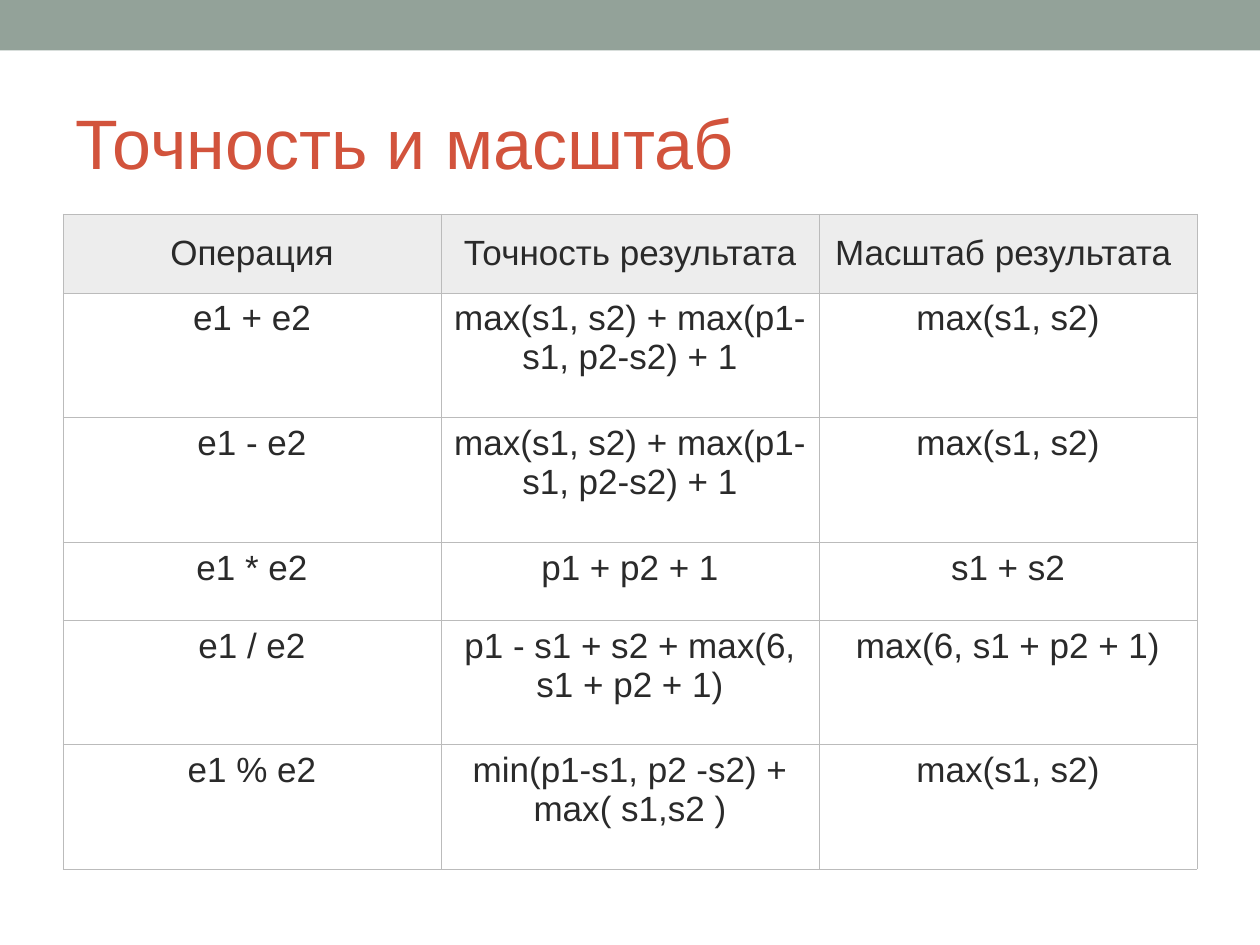
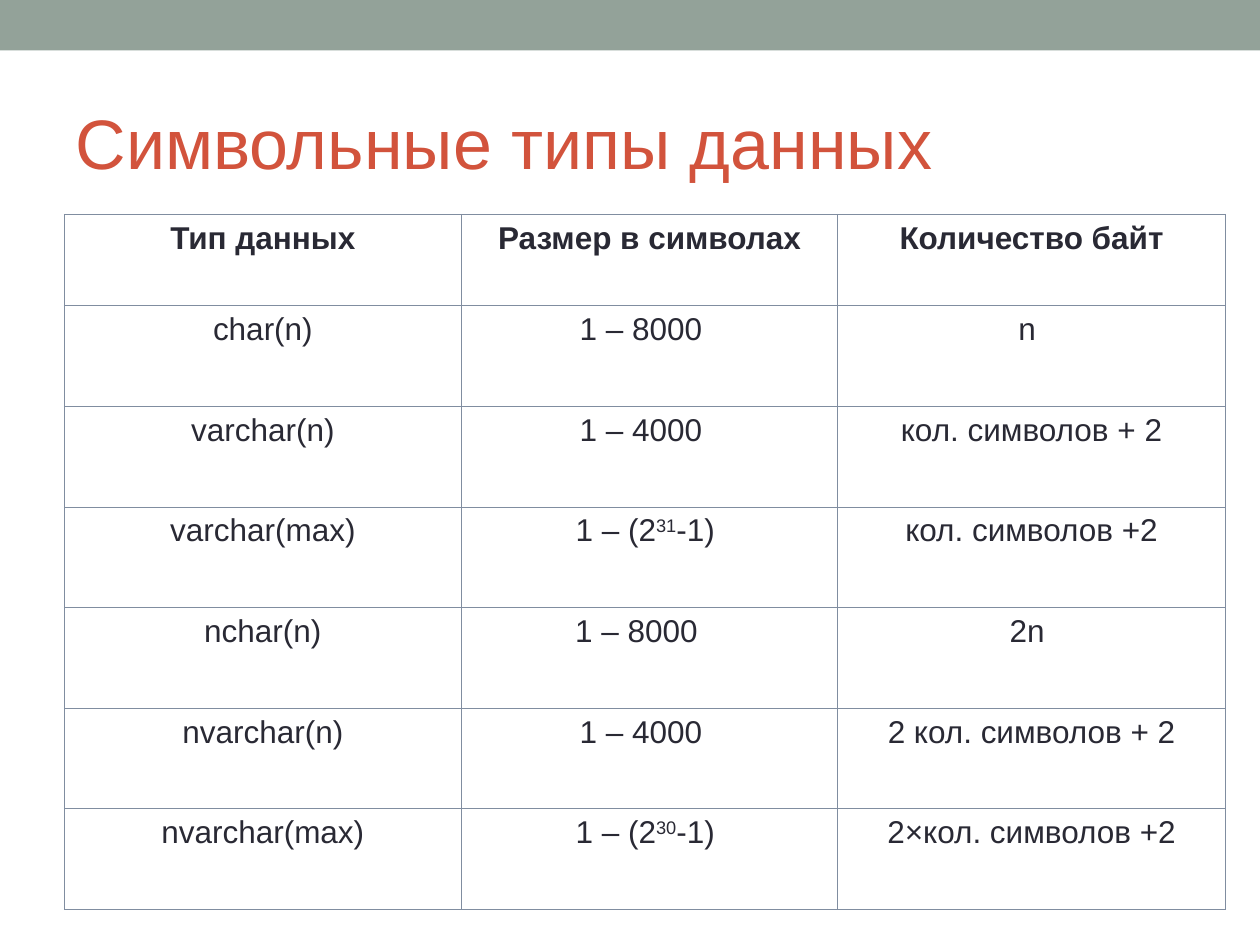
import pptx
import pptx.dml.color
import pptx.enum.shapes
import pptx.enum.text
import pptx.oxml
import pptx.oxml.ns
import pptx.util

Pt = pptx.util.Pt
FONT = "Arial"
COLORS = {
    "band": "93A299",
    "title": "D2533C",
    "precision_text": "2A2A2A",
    "precision_border": "BBBBBB",
    "precision_header": "EDEDED",
    "types_text": "292934",
    "types_border": "808DA0",
}

PRECISION_ROWS = [
    ["Операция", "Точность результата", "Масштаб результата "],
    ["e1 + e2", "max(s1, s2) + max(p1-s1, p2-s2) + 1", "max(s1, s2)"],
    ["e1 - e2", "max(s1, s2) + max(p1-s1, p2-s2) + 1", "max(s1, s2)"],
    ["e1 * e2", "p1 + p2 + 1", "s1 + s2"],
    ["e1 / e2", "p1 - s1 + s2 + max(6, s1 + p2 + 1)", "max(6, s1 + p2 + 1)"],
    ["e1 % e2", "min(p1-s1, p2 -s2) + max( s1,s2 )", "max(s1, s2)"],
]

TYPE_ROWS = [
    ["Тип данных", "Размер в символах", "Количество байт"],
    ["char(n)", "1 – 8000", "n "],
    ["varchar(n)", "1 – 4000", "кол. символов + 2"],
    ["varchar(max)", "1 – (2^31^-1) ", "кол. символов +2"],
    ["nchar(n)", "1 – 8000", "2n "],
    ["nvarchar(n)", "1 – 4000", "2 кол. символов + 2"],
    ["nvarchar(max)", "1 – (2^30^-1) ", "2×кол. символов +2"],
]
TYPE_EXTRA_INSETS = {(1, 1): 10, (2, 1): 10, (4, 1): 15, (5, 1): 10}


def color(name):
    return pptx.dml.color.RGBColor.from_string(COLORS[name])


def add_span(para, text, size, color_name, bold=False, raised=False):
    span = para.add_run()
    span.text = text
    span.font.name = FONT
    span.font.size = Pt(size)
    span.font.bold = bold
    span.font.color.rgb = color(color_name)
    if raised:
        span._r.get_or_add_rPr().set("baseline", "30000")


def add_master_band(deck, page):
    band = page.shapes.add_shape(
        pptx.enum.shapes.MSO_SHAPE.RECTANGLE, 0, 0, deck.slide_width, Pt(28.8))
    band.shadow.inherit = False
    band.fill.solid()
    band.fill.fore_color.rgb = color("band")
    band.line.fill.background()
    band.element.nvSpPr.cNvPr.set("id", "50")
    deck.slide_master.element.cSld.spTree.insert(2, band.element)


def add_page(deck, title):
    page = deck.slides.add_slide(deck.slide_layouts.get_by_name("Title Only"))
    box = page.shapes.title
    box.left, box.top, box.width, box.height = Pt(36), Pt(42), Pt(648), Pt(78)
    box.text_frame.vertical_anchor = pptx.enum.text.MSO_ANCHOR.MIDDLE
    para = box.text_frame.paragraphs[0]
    para.alignment = pptx.enum.text.PP_ALIGN.LEFT
    add_span(para, title, 40, "title")
    return page


def set_borders(cell, color_name, widths):
    properties = cell._tc.get_or_add_tcPr()
    for side in "LRTB":
        properties.append(pptx.oxml.parse_xml(
            f'<a:ln{side} {pptx.oxml.ns.nsdecls("a")} w="{Pt(widths[side])}">'
            f'<a:solidFill><a:srgbClr val="{COLORS[color_name]}"/></a:solidFill>'
            f'</a:ln{side}>'))


def fill_cell(cell, text, size, color_name, bold, side_inset, extra_inset):
    cell.margin_left = Pt(side_inset)
    cell.margin_right = Pt(side_inset + extra_inset)
    cell.margin_top = cell.margin_bottom = Pt(3.6)
    para = cell.text_frame.paragraphs[0]
    para.alignment = pptx.enum.text.PP_ALIGN.CENTER
    for index, part in enumerate(text.split("^")):
        add_span(para, part, size, color_name, bold, raised=index % 2 == 1)


def add_grid(page, rows, left, widths, heights, theme, size, side_inset,
             line, header_line, header_bold=False, header_fill=None,
             header_anchor=pptx.enum.text.MSO_ANCHOR.TOP, extra_insets={}):
    table = page.shapes.add_table(
        len(rows), len(widths), Pt(left), Pt(122.4),
        Pt(sum(widths)), Pt(sum(heights))).table
    table.first_row = table.horz_banding = False
    for column, width in zip(table.columns, widths):
        column.width = Pt(width)
    for row, height in zip(table.rows, heights):
        row.height = Pt(height)
    for r, texts in enumerate(rows):
        for c, text in enumerate(texts):
            cell = table.cell(r, c)
            is_header = r == 0
            fill_cell(cell, text, size, theme + "_text", is_header and header_bold,
                      side_inset, extra_insets.get((r, c), 0))
            set_borders(cell, theme + "_border", {
                "L": line, "R": line,
                "T": header_line if r == 1 else line,
                "B": header_line if is_header else line})
            cell.vertical_anchor = (
                header_anchor if is_header else pptx.enum.text.MSO_ANCHOR.TOP)
            if is_header and header_fill:
                cell.fill.solid()
                cell.fill.fore_color.rgb = color(header_fill)
            else:
                cell.fill.background()


def main():
    deck = pptx.Presentation()
    deck.slide_width, deck.slide_height = Pt(720), Pt(540)

    page = add_page(deck, "Точность и масштаб")
    add_master_band(deck, page)
    add_grid(page, PRECISION_ROWS, 36, [216] * 3, [45, 71.2, 71.2, 44.6, 71.2, 71.2],
             "precision", 20, 5.76, 0.34, 0.34, header_fill="precision_header",
             header_anchor=pptx.enum.text.MSO_ANCHOR.MIDDLE)

    page = add_page(deck, "Символьные типы данных")
    add_grid(page, TYPE_ROWS, 36.7, [227, 215, 221.6], [52.3] + [57.5] * 6,
             "types", 18, 5, 0.45, 0.96, header_bold=True,
             extra_insets=TYPE_EXTRA_INSETS)

    deck.save("out.pptx")


if __name__ == "__main__":
    main()
